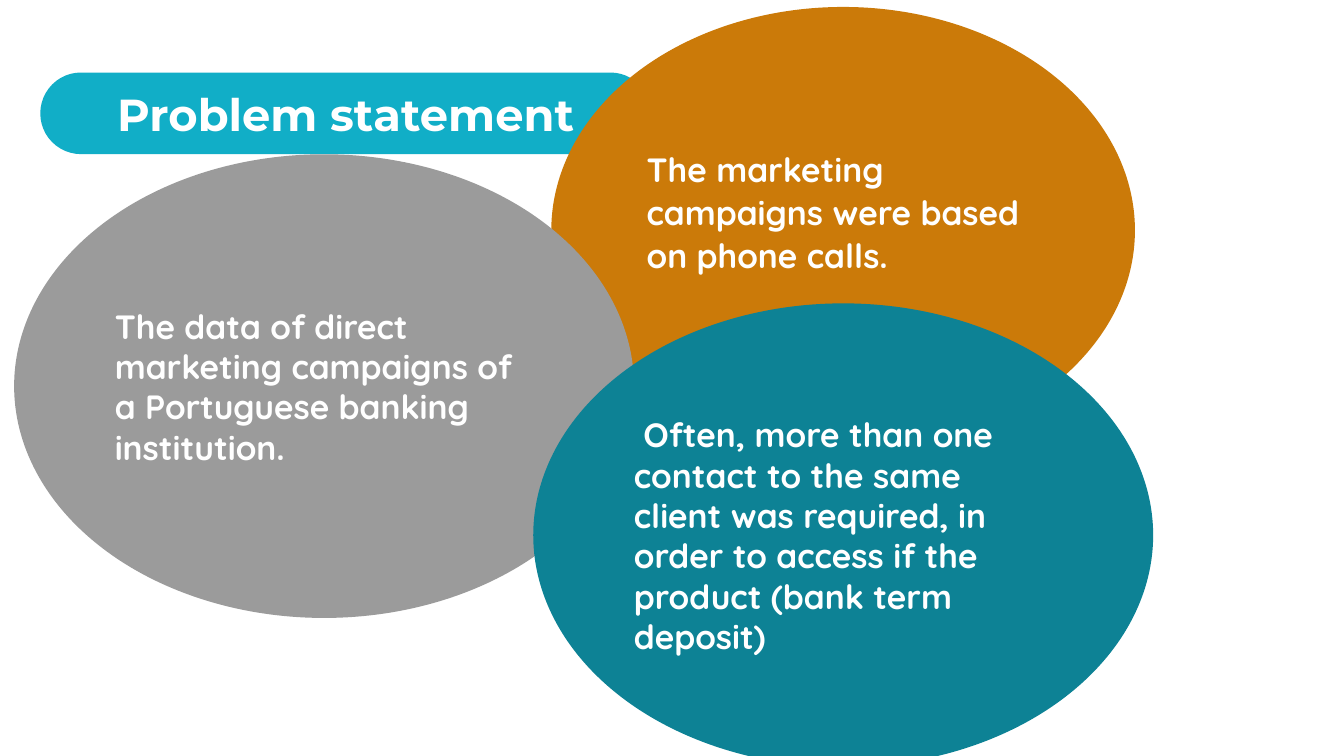
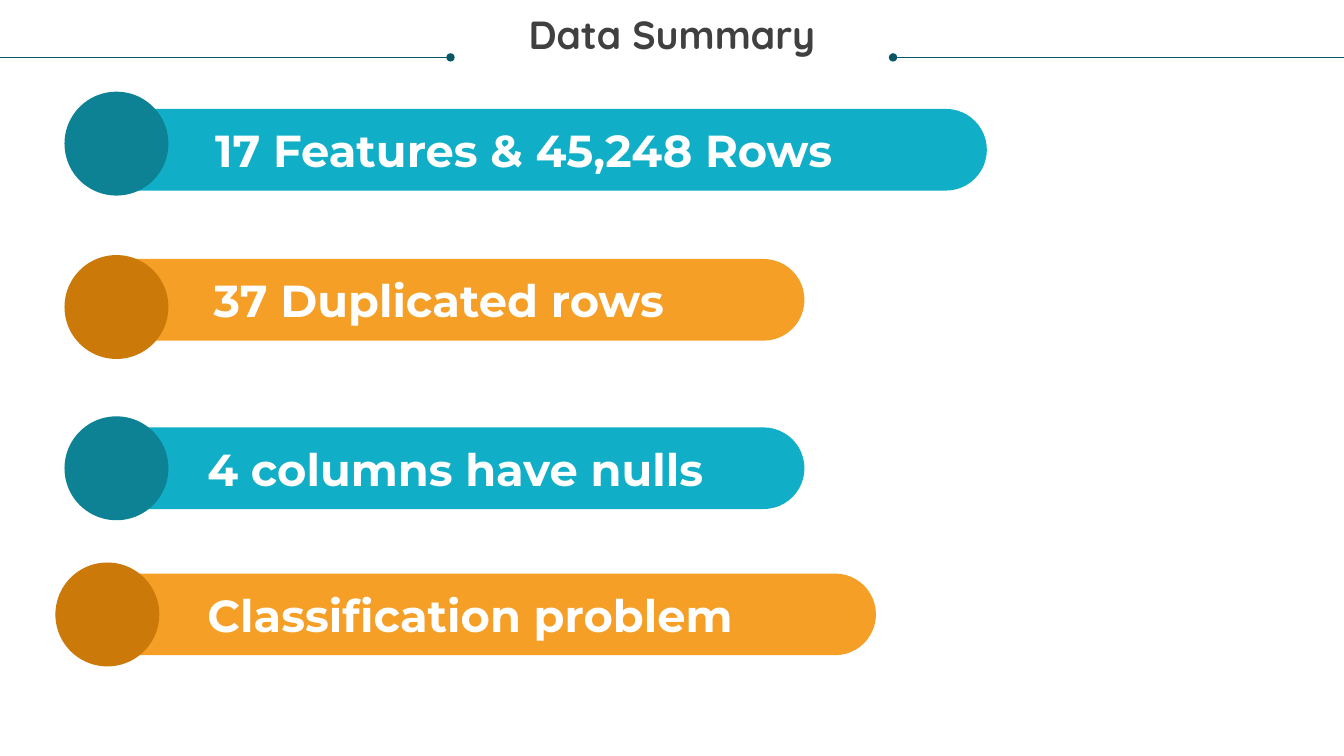
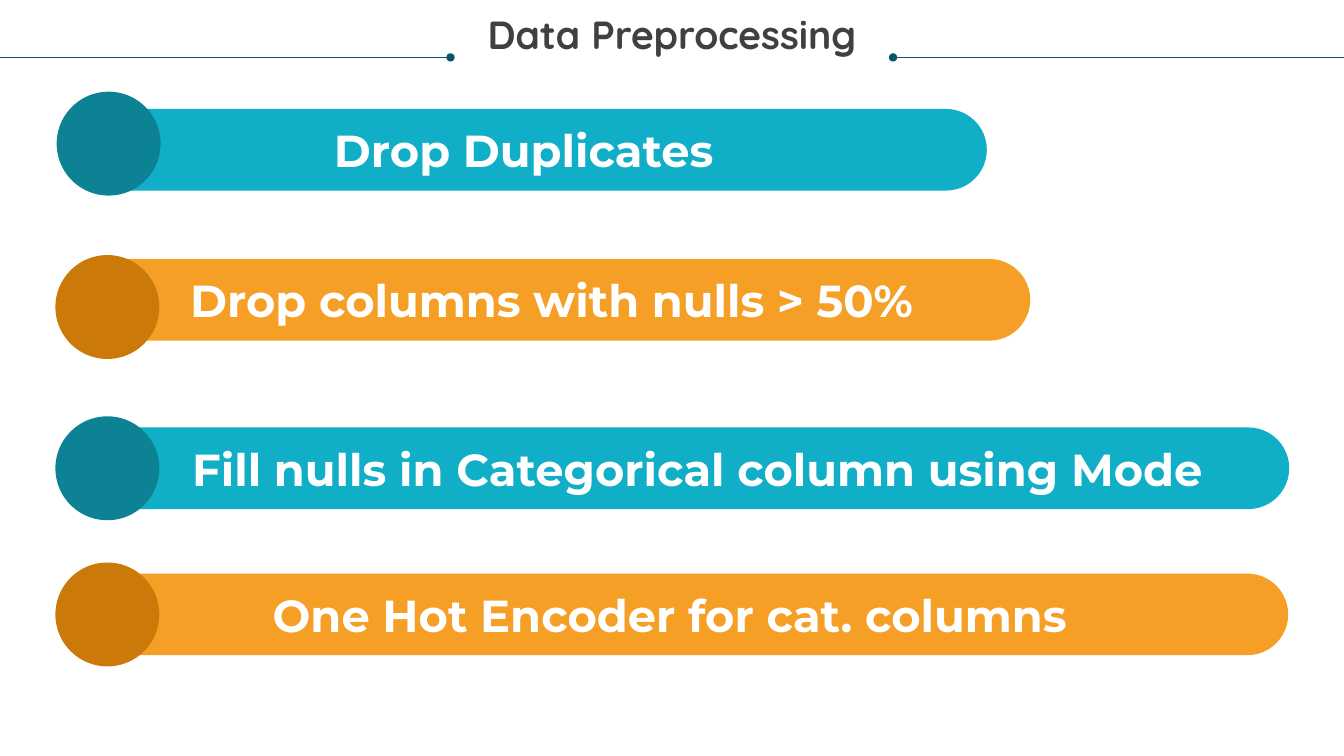
from lxml.etree import SubElement
from pptx import Presentation
from pptx.dml.color import RGBColor
from pptx.enum.shapes import MSO_CONNECTOR, MSO_SHAPE
from pptx.enum.text import MSO_ANCHOR, MSO_AUTO_SIZE, PP_ALIGN
from pptx.oxml.ns import qn
from pptx.util import Pt

# Shared style
WIDE, HIGH = 960, 540
TEAL, DEEP = "11AEC7", "0D8295"
GOLD, RUST = "F59F26", "CB7A09"
GREY, INK, PINE, WHITE = "9B9B9B", "404040", "085764", "FFFFFF"
LABEL = {"name": "Montserrat", "size": Pt(32), "bold": True}
NOTE = {"name": "Quicksand", "size": Pt(24), "bold": True}
HEAD = {"name": "Quicksand", "size": Pt(28), "bold": True}
BAR, DOT = 58.3, 74.2  # bar height and dot diameter


def put(item, values):
    for name, value in values.items():
        setattr(item, name, value)


def paint(color, shade):
    color.rgb = RGBColor.from_string(shade)


class Deck:
    def __init__(self):
        self.file = Presentation()
        put(self.file, {"slide_width": Pt(WIDE), "slide_height": Pt(HIGH)})
        self.slide = None

    def page(self):
        self.slide = self.file.slides.add_slide(self.file.slide_layouts[5])

    def text(self, shape, words, font, shade=WHITE, align=PP_ALIGN.CENTER,
             space=1.0, **frame):
        body = shape.text_frame
        put(body, {"text": words, "word_wrap": True,
                   "auto_size": MSO_AUTO_SIZE.NONE,
                   "vertical_anchor": MSO_ANCHOR.MIDDLE, **frame})
        line = body.paragraphs[0]
        put(line, {"alignment": align, "line_spacing": space})
        put(line.runs[0].font, font)
        paint(line.runs[0].font.color, shade)

    def shape(self, kind, box, shade):
        item = self.slide.shapes.add_shape(kind, *map(Pt, box))
        item.shadow.inherit = False
        item.fill.solid()
        paint(item.fill.fore_color, shade)
        item.line.fill.background()
        return item

    def oval(self, box, shade):
        return self.shape(MSO_SHAPE.OVAL, box, shade)

    def bar(self, left, top, width, shade):
        item = self.shape(MSO_SHAPE.ROUNDED_RECTANGLE,
                          (left, top, width, BAR), shade)
        item.adjustments[0] = 0.5
        return item

    def title(self, words, box, font, **style):
        item = self.slide.shapes.title
        put(item, dict(zip(("left", "top", "width", "height"), map(Pt, box))))
        self.text(item, words, font, **style)
        return item

    def rule(self, start, end, top):
        item = self.slide.shapes.add_connector(
            MSO_CONNECTOR.STRAIGHT, *map(Pt, (start, top, end, top)))
        paint(item.line.color, PINE)
        item.line.width = Pt(0.5)
        # Round end and no shadow
        look = item.element.spPr
        SubElement(look.find(qn("a:ln")), qn("a:tailEnd"), type="oval")
        SubElement(look, qn("a:effectLst"))

    def header(self, words):
        self.rule(0, 321.8, 41)
        self.rule(WIDE, 637.9, 41)
        edges = dict.fromkeys(("margin_left", "margin_top",
                               "margin_right", "margin_bottom"), 0)
        self.title(words, (18, 10.8, 923.8, 91.4), HEAD, shade=INK, space=0.9,
                   vertical_anchor=MSO_ANCHOR.TOP, **edges)


deck = Deck()

# Problem statement
deck.page()
pill = (28.8, 51.8, 436.3)
name = deck.title("Problem statement", (*pill, BAR), LABEL)
name.element.addprevious(deck.bar(*pill, TEAL).element)
BUBBLES = [
    ((393.8, 5, 416.9, 319), RUST, 1.07, 32,
     "The marketing campaigns were based on phone calls."),
    ((10.1, 110.2, 442.8, 331.2), GREY, 1.0, 3.6,
     "The data of direct marketing campaigns of a Portuguese banking "
     "institution."),
    ((380.9, 216.7, 442.8, 331.2), DEEP, 1.0, 3.6,
     " Often, more than one contact to the same client was required, in "
     "order to access if the product (bank term deposit)"),
]
for box, shade, space, base, words in BUBBLES:
    deck.text(deck.oval(box, shade), words, NOTE, align=PP_ALIGN.LEFT,
              space=space, margin_bottom=Pt(base))

# Bar lists: each row has bar left, bar top, dot top, bar and dot colour
ROWS = [
    (52.6, 77.8, 65.5, TEAL, DEEP),
    (52.6, 185, 182.2, GOLD, RUST),
    (67, 305.3, 297.4, TEAL, DEEP),
    (46.1, 409.7, 401.8, GOLD, RUST),
]
# Each entry has text, bar width and dot left
LISTS = {
    "Data Summary": [
        ("17 Features & 45,248 Rows ", 652.3, 46.1),
        ("37 Duplicated rows", 522, 46.1),
        (" 4 columns have nulls", 507.6, 46.1),
        ("Classification problem", 579.6, 39.6),
    ],
    "Data Preprocessing": [
        ("Drop Duplicates ", 652.3, 40.5),
        ("Drop columns with nulls > 50%", 683.3, 39.6),
        (" Fill nulls in Categorical column using Mode", 853.9, 39.6),
        ("One Hot Encoder for cat. columns ", 874.1, 39.6),
    ],
}
for head, items in LISTS.items():
    deck.page()
    deck.header(head)
    for (left, top, rise, light, dark), (words, width, dot) in zip(ROWS, items):
        deck.text(deck.bar(left, top, width, light), words, LABEL)
        deck.oval((dot, rise, DOT, DOT), dark)

deck.file.save("out.pptx")
